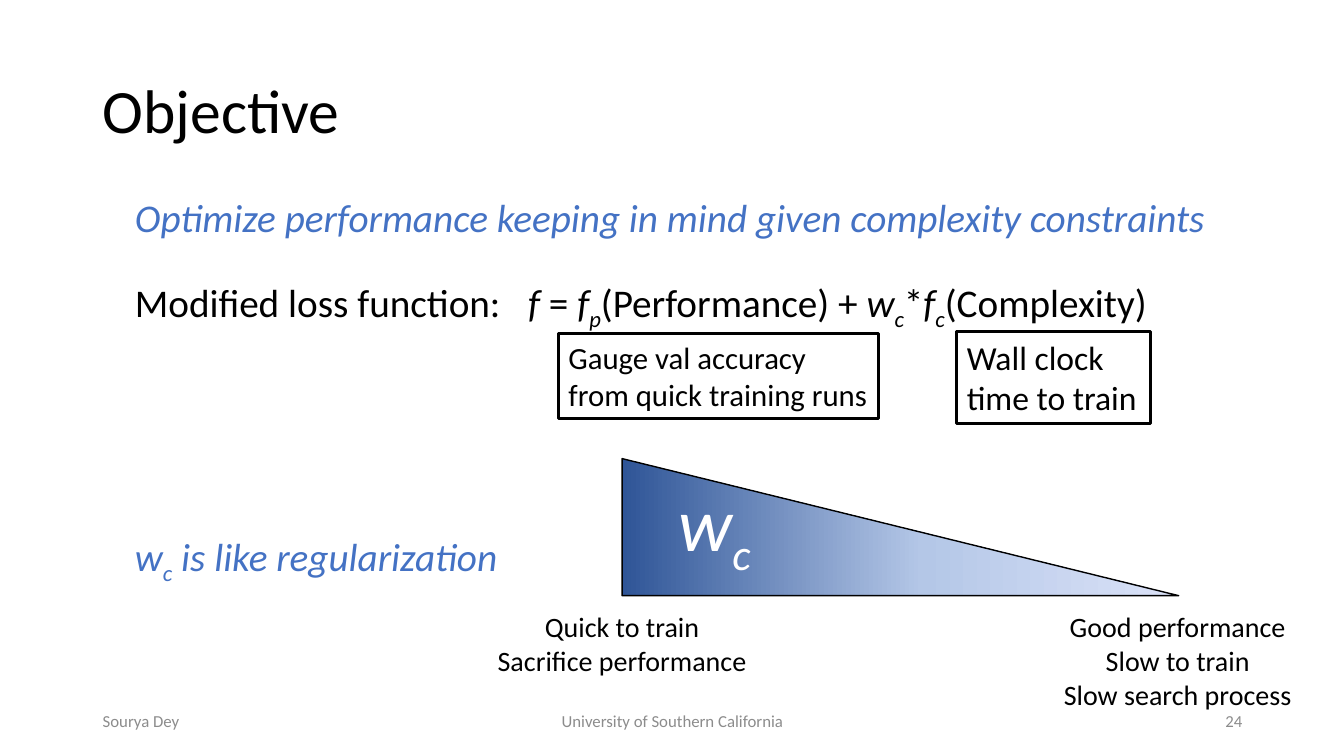
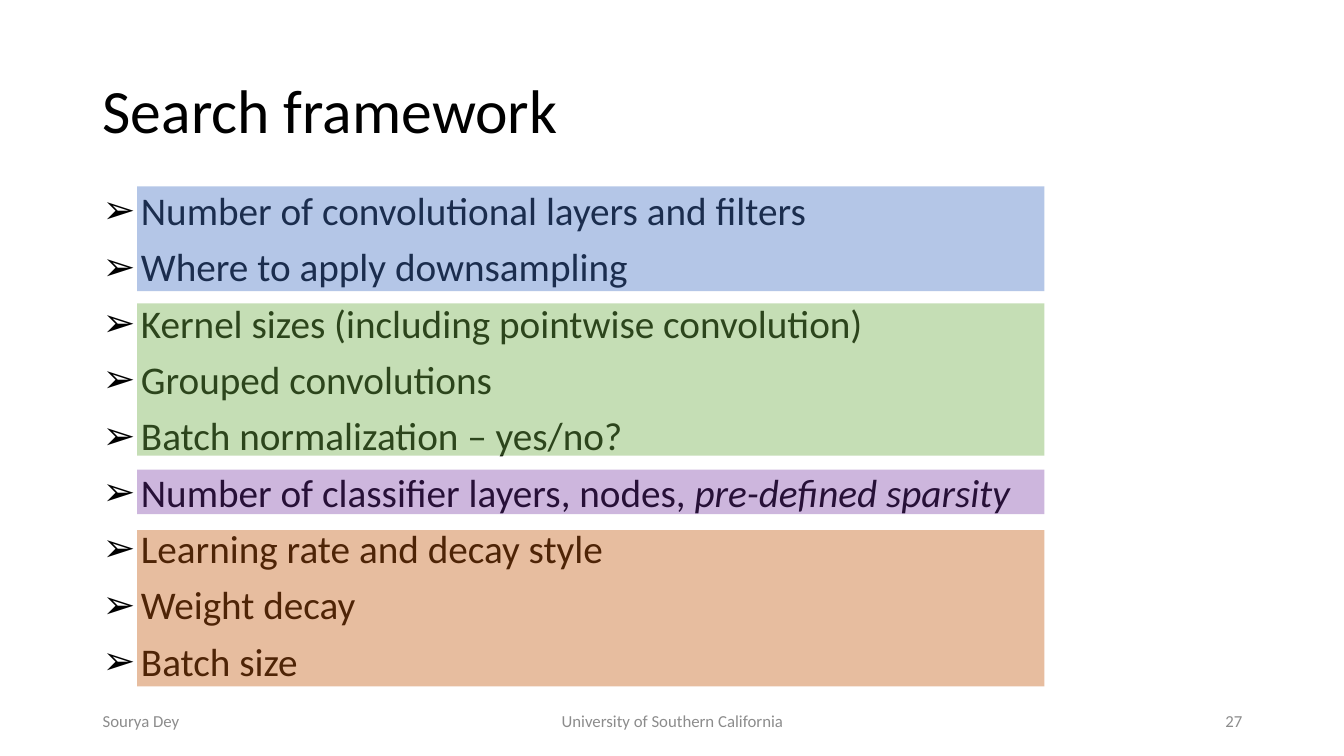
import copy

import pptx
import pptx.dml.color
import pptx.enum.shapes
import pptx.enum.text
import pptx.oxml
import pptx.oxml.ns
import pptx.util
from pptx.util import Inches

Pt = pptx.util.Pt
RGB = pptx.dml.color.RGBColor.from_string
SHAPE = pptx.enum.shapes.MSO_SHAPE
ALIGN = pptx.enum.text.PP_ALIGN
ANCHOR = pptx.enum.text.MSO_ANCHOR
qn = pptx.oxml.ns.qn

FONT = "Calibri"
COLORS = {
    "text": "000000", "accent": "4472C4", "footer": "8C8C8C", "white": "FFFFFF",
    "green": "70AD47", "purple": "7030A0", "orange": "C55A11",
}
GRADIENT = [(0, "2F5597"), (0.54, "B4C7E7"), (1, "DBE2F8")]

# Content: a paragraph is a list of (text, style) runs; i = italic, s = subscript
GOAL = [[("Optimize performance keeping in mind given complexity constraints", "i")]]
LOSS = [[
    ("Modified loss function:\t", ""), ("f", "i"), (" = ", ""), ("f", "i"), ("p", "is"),
    ("(Performance) + ", ""), ("w", "i"), ("c", "is"), ("*", ""), ("f", "i"), ("c", "is"),
    ("(Complexity)", ""),
]]
REGULARIZATION = [[("w", "i"), ("c", "is"), (" is like regularization", "i")]]
WEIGHT = [[("w", "i"), ("c", "is")]]
ENDS = [
    ((10.44, 6, 2.48, 1.11), ["Good performance", "Slow to train", "Slow search process"]),
    ((4.82, 6, 2.7, 0.77), ["Quick to train", "Sacrifice performance"]),
]
CALLOUTS = [
    ((5.54, 3.31, 3.17, 0.84), "Gauge val accuracy from quick training runs", 22),
    ((9.49, 3.29, 1.92, 0.91), "Wall clock time to train", 24),
]
SEARCH_ITEMS = [
    "Number of convolutional layers and filters",
    "Where to apply downsampling",
    "Kernel sizes (including pointwise convolution)",
    "Grouped convolutions",
    "Batch normalization – yes/no?",
    [("Number of classifier layers, nodes, ", ""), ("pre-defined sparsity", "i")],
    "Learning rate and decay style",
    "Weight decay",
    "Batch size",
]
BANDS = [  # top, height, colour, opacity in percent
    (1.85, 1.04, "accent", 40), (3.01, 1.51, "green", 40),
    (4.66, 0.44, "purple", 35), (5.26, 1.55, "orange", 40),
]
FOOTERS = [
    (0.92, 3, "Sourya Dey", ALIGN.LEFT),
    (4.42, 4.5, "University of Southern California", ALIGN.CENTER),
]


def write(sp, paragraphs, size, color="text", wrap=True, anchor=ANCHOR.TOP, **fmt):
    """Fill a shape with paragraphs, each a string or a list of runs."""
    tf = sp.text_frame
    tf.word_wrap, tf.vertical_anchor = wrap, anchor
    fmt = {"alignment": ALIGN.LEFT, **fmt}
    for n, runs in enumerate(paragraphs):
        p = tf.paragraphs[0] if n == 0 else tf.add_paragraph()
        for name, value in fmt.items():
            if not (n == 0 and name == "space_before"):
                setattr(p, name, value)
        for text, style in [(runs, "")] if isinstance(runs, str) else runs:
            r = p.add_run()
            r.text = text
            for name, value in {"name": FONT, "size": Pt(size), "italic": "i" in style}.items():
                setattr(r.font, name, value)
            r.font.color.rgb = RGB(COLORS[color])
            if "s" in style:
                r.font._element.set("baseline", "-25000")
    return tf


def add_text(s, at, paragraphs, size, color="text", **fmt):
    return write(s.shapes.add_textbox(*map(Inches, at)), paragraphs, size, color, **fmt)


def add_box(s, kind, at, line=None):
    sp = s.shapes.add_shape(kind, *map(Inches, at))
    sp.shadow.inherit = False
    sp.fill.background()
    if line:
        sp.line.color.rgb, sp.line.width = RGB(COLORS["text"]), Pt(line)
    else:
        sp.line.fill.background()
    return sp


def add_slide(prs, title):
    s = prs.slides.add_slide(prs.slide_layouts[6])
    add_text(s, (0.92, 0.4, 11.5, 1.45), [title], 44, anchor=ANCHOR.MIDDLE, line_spacing=0.9)
    return s


def add_footer(s, number):
    for left, width, text, align in FOOTERS + [(9.42, 3, number, ALIGN.RIGHT)]:
        add_text(s, (left, 6.95, width, 0.4), [text], 12, "footer",
                 anchor=ANCHOR.MIDDLE, alignment=align)


def add_ppr_child(p, xml):
    ns = 'xmlns:a="http://schemas.openxmlformats.org/drawingml/2006/main"'
    p._p.get_or_add_pPr().append(pptx.oxml.parse_xml(xml.format(ns=ns)))


def build_objective(prs):
    s = add_slide(prs, "Objective")

    # Wedge with a three-stop gradient
    wedge = add_box(s, SHAPE.RIGHT_TRIANGLE, (6.17, 4.55, 5.52, 1.36), 1)
    wedge.fill.gradient()
    wedge.fill.gradient_angle = 0
    stops = wedge._element.spPr.find(qn("a:gradFill")).find(qn("a:gsLst"))
    stops.append(copy.deepcopy(stops[-1]))
    for stop, (position, color) in zip(wedge.fill.gradient_stops, GRADIENT):
        stop.position, stop.color.rgb = position, RGB(color)
    write(wedge, WEIGHT, 54, "white", anchor=ANCHOR.BOTTOM)

    # Statements
    add_text(s, (1.24, 1.87, 11.82, 0.57), GOAL, 28, "accent")
    tf = add_text(s, (1.24, 2.71, 10.39, 0.57), LOSS, 28)
    add_ppr_child(tf.paragraphs[0],
                  f'<a:tabLst {{ns}}><a:tab pos="{Inches(3.9)}" algn="l"/></a:tabLst>')
    add_text(s, (1.24, 5.23, 3.83, 0.57), REGULARIZATION, 28, "accent", wrap=False)

    # Wedge ends and formula callouts
    for at, lines in ENDS:
        add_text(s, at, lines, 20, wrap=False, alignment=ALIGN.CENTER)
    add_footer(s, "24")
    for at, text, size in CALLOUTS:
        tf = write(add_box(s, SHAPE.RECTANGLE, at, 2), [text], size)
        tf.margin_right = Inches(0.09)


def build_search(prs):
    s = add_slide(prs, "Search framework")

    # Bulleted list
    tf = add_text(s, (0.92, 1.85, 11.5, 4.95), SEARCH_ITEMS, 28,
                  line_spacing=0.9, space_before=Pt(10))
    for p in tf.paragraphs:
        add_ppr_child(p, '<a:buFont {ns} typeface="Wingdings 3"/>'.replace("Wingdings 3", FONT))
        add_ppr_child(p, '<a:buChar {ns} char="➢"/>')
        for name, value in {"marL": 0.38, "indent": -0.38}.items():
            p._p.pPr.set(name, str(Inches(value)))
    add_footer(s, "27")

    # Translucent bands grouping the items
    for top, height, color, opacity in BANDS:
        band = add_box(s, SHAPE.RECTANGLE, (1.36, top, 9, height))
        band.fill.solid()
        band.fill.fore_color.rgb = RGB(COLORS[color])
        clr = band._element.spPr.find(qn("a:solidFill"))[0]
        clr.append(clr.makeelement(qn("a:alpha"), {"val": str(opacity * 1000)}))


def main():
    prs = pptx.Presentation()
    prs.slide_width, prs.slide_height = Inches(13.33), Inches(7.5)
    build_objective(prs)
    build_search(prs)
    prs.save("out.pptx")


if __name__ == "__main__":
    main()
